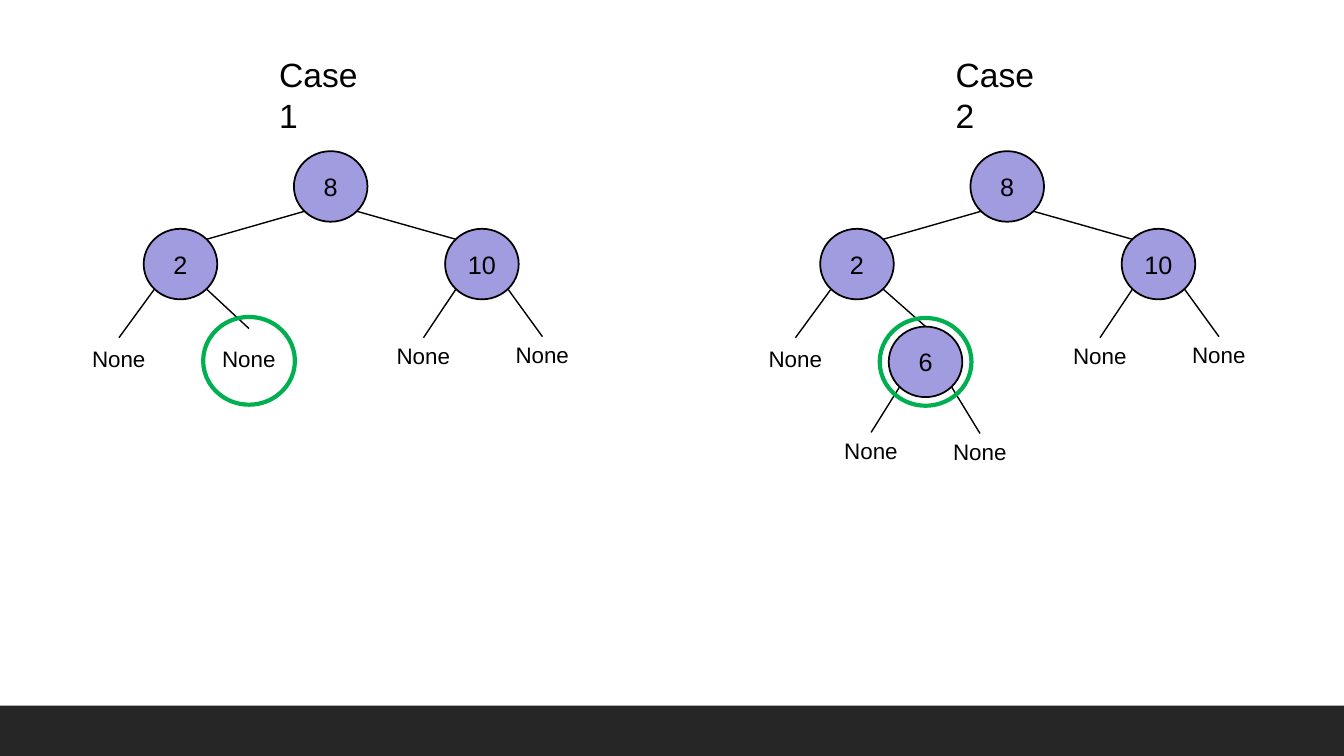
from lxml.etree import SubElement
from pptx import Presentation
from pptx.dml.color import RGBColor
from pptx.enum.shapes import MSO_CONNECTOR, MSO_SHAPE
from pptx.enum.text import MSO_ANCHOR, PP_ALIGN
from pptx.oxml.ns import qn
from pptx.util import Inches, Pt

BLACK = RGBColor(0x00, 0x00, 0x00)
LILAC = RGBColor(0xA1, 0x9B, 0xDF)
GREEN = RGBColor(0x00, 0xB0, 0x50)
CHARCOAL = RGBColor(0x26, 0x26, 0x26)

NODE_W, NODE_H = 0.73, 0.7
RING_W, RING_H = 0.91, 0.87
LABEL_W, LABEL_H = 0.73, 0.37
DIAGONAL = 0.35  # share of a node's size from its centre to a diagonal point


def write(tf, text, size=18, color=BLACK, font="Arial", align=PP_ALIGN.LEFT, wrap=False):
    tf.word_wrap = wrap
    p = tf.paragraphs[0]
    p.alignment = align
    r = p.add_run()
    r.text = text
    r.font.name = font
    r.font.size = Pt(size)
    r.font.color.rgb = color


class TreeSlide:
    def __init__(self, s):
        self.s = s

    def shape(self, kind, x, y, w, h, fill=None, line=None, width=1.25):
        sp = self.s.shapes.add_shape(kind, Inches(x), Inches(y), Inches(w), Inches(h))
        sp.shadow.inherit = False
        if fill is None:
            sp.fill.background()
        else:
            sp.fill.solid()
            sp.fill.fore_color.rgb = fill
        if line is None:
            sp.line.fill.background()
        else:
            sp.line.color.rgb = line
            sp.line.width = Pt(width)
        return sp

    def text(self, text, x, y, w, h, **fmt):
        sp = self.s.shapes.add_textbox(Inches(x), Inches(y), Inches(w), Inches(h))
        write(sp.text_frame, text, **fmt)

    def node(self, text, cx, cy):
        sp = self.shape(MSO_SHAPE.OVAL, cx - NODE_W / 2, cy - NODE_H / 2,
                        NODE_W, NODE_H, LILAC, BLACK)
        tf = sp.text_frame
        tf.vertical_anchor = MSO_ANCHOR.MIDDLE
        tf.margin_left = tf.margin_right = 0
        write(tf, text, align=PP_ALIGN.CENTER)
        return sp

    def ring(self, cx, cy):
        self.shape(MSO_SHAPE.OVAL, cx - RING_W / 2, cy - RING_H / 2,
                   RING_W, RING_H, line=GREEN, width=3)

    def edge(self, start, end):
        cxn = self.s.shapes.add_connector(
            MSO_CONNECTOR.STRAIGHT, *(Inches(v) for v in (*start, *end)))
        cxn.line.color.rgb = BLACK
        cxn.line.width = Pt(1)
        SubElement(cxn._element.spPr, qn("a:effectLst"))
        return cxn

    def leaf(self, start, x, y, gap=0):
        self.edge(start, (x, y))
        self.text("None", x - LABEL_W / 2, y + gap, LABEL_W, LABEL_H, size=16)


def corner(center, side, down=1):
    """Diagonal point of a node: side -1 left or 1 right, down -1 upper or 1 lower."""
    return (center[0] + side * DIAGONAL * NODE_W, center[1] + down * DIAGONAL * NODE_H)


def draw_case(ts, title, dx, inserted):
    root, left, right = (dx + 3.28, 1.85), (dx + 1.79, 2.62), (dx + 4.78, 2.62)
    ts.text(title, dx + 2.67, 0.49, 1.24, 0.5, size=24, wrap=True)

    # Shared nodes, edges and leaves
    for value, center in (("8", root), ("2", left), ("10", right)):
        ts.node(value, *center)
    for side, child in ((-1, left), (1, right)):
        ts.edge(corner(root, side), corner(child, -side, -1))
    ts.leaf(corner(left, -1), dx + 1.18, 3.35, gap=0.03)
    ts.leaf(corner(right, -1), dx + 4.2, 3.35)
    ts.leaf(corner(right, 1), dx + 5.38, 3.34)

    # Insertion spot, marked by a ring
    if inserted:
        spot = (dx + 2.47, 3.59)
        node = ts.node(inserted, *spot)
        ts.edge(corner(left, 1), (spot[0], 3.24)).end_connect(node, 0)
        for side, y in ((-1, 4.29), (1, 4.3)):
            ts.leaf(corner(spot, side), spot[0] + side * 0.54, y)
    else:
        spot = (dx + 2.47, 3.58)
        ts.leaf(corner(left, 1), spot[0], 3.26, gap=0.12)
    ts.ring(*spot)


def main():
    prs = Presentation()
    prs.slide_width, prs.slide_height = Inches(13.33), Inches(7.5)
    ts = TreeSlide(prs.slides.add_slide(prs.slide_layouts[6]))

    # Footer band
    ts.shape(MSO_SHAPE.RECTANGLE, 0, 7, 13.33, 0.5, CHARCOAL)

    # The tree before and after the insertion
    for title, dx, inserted in (("Case 1", 0, None), ("Case 2", 6.71, "6")):
        draw_case(ts, title, dx, inserted)

    prs.save("out.pptx")


if __name__ == "__main__":
    main()
